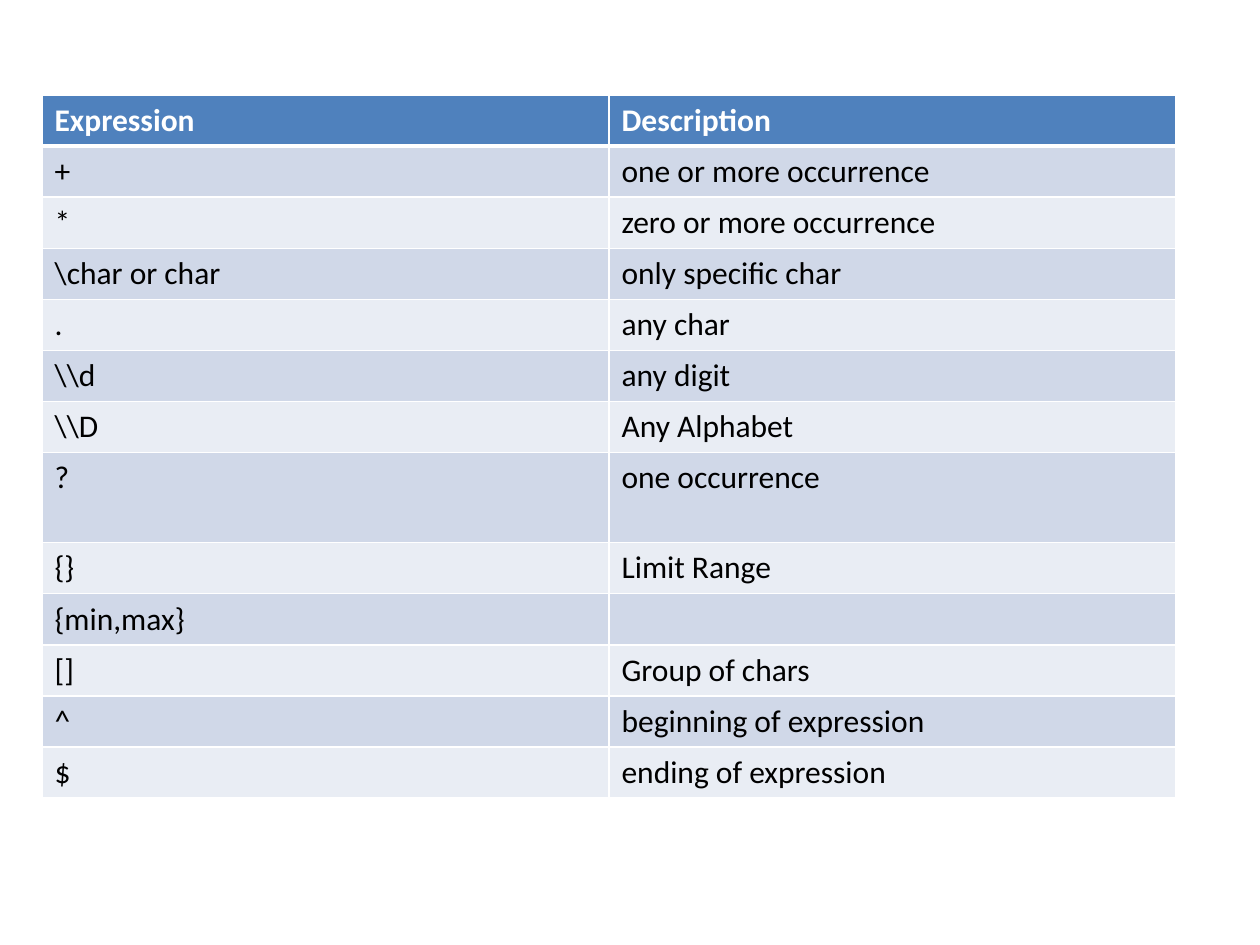
import pptx
import pptx.util
import pptx.dml.color
import pptx.oxml.ns
import lxml.etree

RGBColor = pptx.dml.color.RGBColor
WHITE = RGBColor(0xFF, 0xFF, 0xFF)
BLACK = RGBColor(0x00, 0x00, 0x00)
HEADER_BLUE = RGBColor(0x4F, 0x81, 0xBD)
BANDS = (RGBColor(0xD0, 0xD8, 0xE8), RGBColor(0xE9, 0xED, 0xF4))

ROWS = [
    ("Expression", "Description"),
    ("+", "one or more occurrence"),
    ("*", "zero or more occurrence"),
    (r"\char or char", "only specific char"),
    (".", "any char"),
    (r"\\d", "any digit"),
    (r"\\D", "Any Alphabet"),
    ("?", "one occurrence"),
    ("{}", "Limit Range"),
    ("{min,max}", ""),
    ("[]", "Group of chars"),
    ("^", "beginning of expression"),
    ("$", "ending of expression"),
]
LEFT, TOP, COL_WIDTH = 42, 95, 567
ROW_HEIGHT, TALL_HEIGHT, TALL_ROW = 51, 90, 7


def px(n):
    return pptx.util.Emu(round(n * 914400 / 126))


def add_border(cell, side, width, color):
    qn = pptx.oxml.ns.qn
    tc_pr = cell._tc.get_or_add_tcPr()
    ln = lxml.etree.SubElement(tc_pr, qn("a:ln" + side), w=str(pptx.util.Pt(width)))
    fill = lxml.etree.SubElement(ln, qn("a:solidFill"))
    lxml.etree.SubElement(fill, qn("a:srgbClr"), val=str(color))


def write(cell, text, size=18, color=BLACK, bold=False, font="Calibri"):
    p = cell.text_frame.paragraphs[0]
    p.font.size = pptx.util.Pt(size)
    if text:
        r = p.add_run()
        r.text = text
        r.font.name = font
        r.font.size = pptx.util.Pt(size)
        r.font.bold = bold
        r.font.color.rgb = color


prs = pptx.Presentation()
prs.slide_width, prs.slide_height = px(1260), px(945)
slide = prs.slides.add_slide(prs.slide_layouts[6])

heights = [TALL_HEIGHT if i == TALL_ROW else ROW_HEIGHT for i in range(len(ROWS))]
frame = slide.shapes.add_table(
    len(ROWS), 2, px(LEFT), px(TOP), px(2 * COL_WIDTH), px(sum(heights)))
table = frame.table
for col in table.columns:
    col.width = px(COL_WIDTH)

for i, (texts, height) in enumerate(zip(ROWS, heights)):
    table.rows[i].height = px(height)
    header = i == 0
    for j, text in enumerate(texts):
        cell = table.cell(i, j)
        for side in "LRTB":
            thick = (header and side == "B") or (i == 1 and side == "T")
            add_border(cell, side, 3 if thick else 1, WHITE)
        cell.fill.solid()
        cell.fill.fore_color.rgb = HEADER_BLUE if header else BANDS[(i - 1) % 2]
        write(cell, text, color=WHITE if header else BLACK, bold=header)

prs.save("out.pptx")
